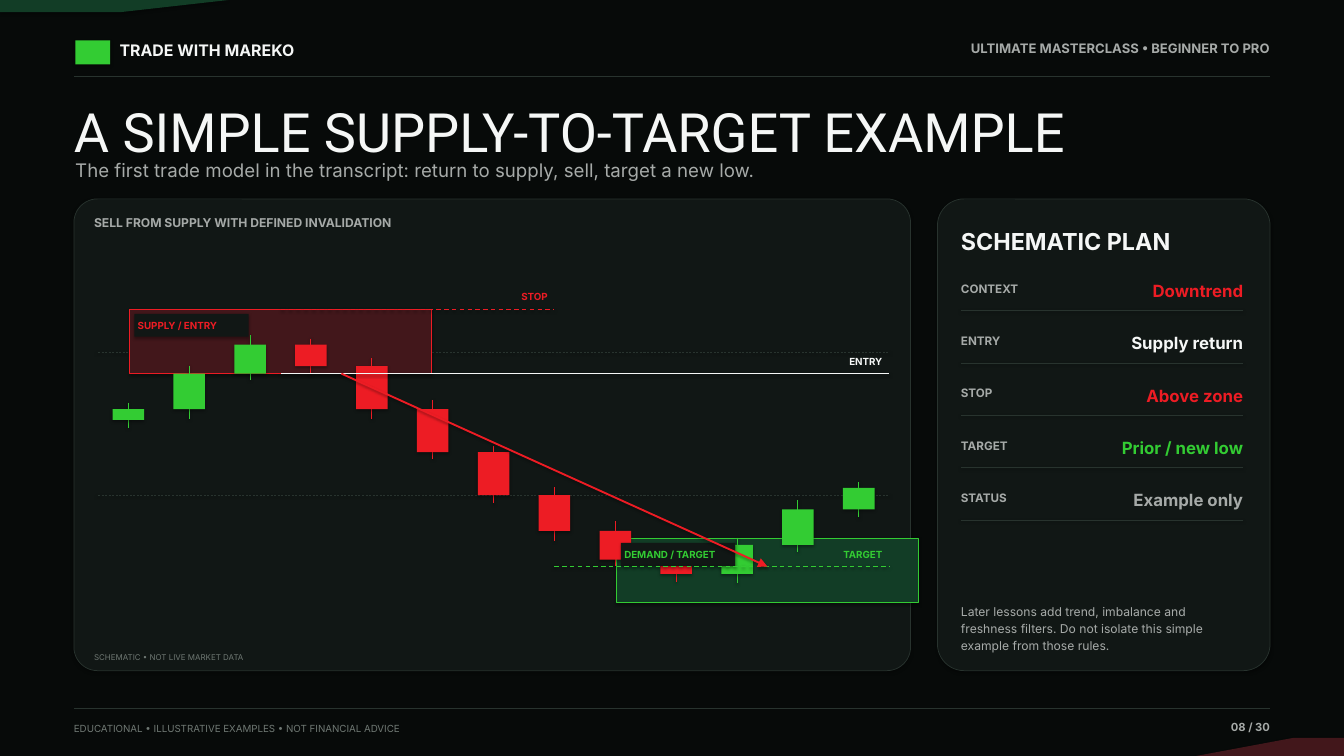
from dataclasses import dataclass

from lxml import etree
from pptx import Presentation
from pptx import util as u
from pptx.dml.color import RGBColor
from pptx.enum import dml, shapes, text
from pptx.oxml.ns import qn

Inches = u.Inches


@dataclass(frozen=True)
class Theme:
    # Colours
    background: str = "070A09"
    panel: str = "111715"
    rule: str = "28332E"
    white: str = "F5F7F6"
    grey: str = "A6AAA8"
    faint: str = "6F7873"
    green: str = "33CC33"
    red: str = "ED1C24"
    dark_green: str = "123D26"
    dark_red: str = "42171B"
    # Fonts and type sizes
    body_font: str = "Inter"
    title_font: str = "Roboto"
    title: float = 58
    heading: float = 25
    subtitle: float = 20
    value: float = 18
    brand: float = 17
    course: float = 14
    caption: float = 13
    label: float = 12.5
    page: float = 12
    small: float = 10.5
    tiny: float = 8.5


class SlideBuilder:
    def __init__(self, slide, theme):
        self.slide = slide
        self.theme = theme

    def add_shadow(self, shape, alpha, distance):
        properties = shape._element.spPr
        effects = etree.SubElement(properties, qn("a:effectLst"))
        shadow = etree.SubElement(
            effects, qn("a:outerShdw"), blurRad=str(u.Pt(3.1)),
            dist=str(u.Pt(distance)), dir="5400000", algn="ctr", rotWithShape="0")
        colour = etree.SubElement(shadow, qn("a:srgbClr"), val="000000")
        etree.SubElement(colour, qn("a:alpha"), val=str(alpha * 1000))

    def paint(self, shape, fill, line=None, width=0.8):
        shape.fill.solid()
        shape.fill.fore_color.rgb = RGBColor.from_string(fill)
        if line:
            shape.line.color.rgb = RGBColor.from_string(line)
            shape.line.width = u.Pt(width)
        else:
            shape.line.fill.background()
        self.add_shadow(shape, 35, 1.8)

    def box(self, left, top, width, height, fill, line=None, line_width=0.8, radius=None):
        kind = shapes.MSO_SHAPE.RECTANGLE if radius is None else shapes.MSO_SHAPE.ROUNDED_RECTANGLE
        shape = self.slide.shapes.add_shape(
            kind, Inches(left), Inches(top), Inches(width), Inches(height))
        if radius is not None:
            shape.adjustments[0] = radius
        self.paint(shape, fill, line, line_width)

    def polygon(self, points, fill):
        start, *rest = [(Inches(x), Inches(y)) for x, y in points]
        outline = self.slide.shapes.build_freeform(*start)
        outline.add_line_segments(rest, close=True)
        self.paint(outline.convert_to_shape(), fill)

    def line(self, x1, y1, x2, y2, colour, width, dashed=False, arrow=False):
        connector = self.slide.shapes.add_connector(
            shapes.MSO_CONNECTOR.STRAIGHT, Inches(x1), Inches(y1), Inches(x2), Inches(y2))
        connector.line.color.rgb = RGBColor.from_string(colour)
        connector.line.width = u.Pt(width)
        if dashed:
            connector.line.dash_style = dml.MSO_LINE.DASH
        if arrow:
            etree.SubElement(connector.line._get_or_add_ln(), qn("a:tailEnd"),
                             type="triangle", w="lg", len="lg")
        self.add_shadow(connector, 38, 1.6)

    def text(self, left, top, width, height, content, size, colour,
             bold=False, right=False, font=None, spacing=1.18):
        frame = self.slide.shapes.add_textbox(
            Inches(left), Inches(top), Inches(width), Inches(height)).text_frame
        frame_format = {"margin_left": 0, "margin_top": 0, "margin_right": 0,
                        "margin_bottom": 0, "word_wrap": True}
        for name, value in frame_format.items():
            setattr(frame, name, value)
        font_format = {"name": font or self.theme.body_font, "size": u.Pt(size), "bold": bold}
        for index, words in enumerate(content.split("\n")):
            paragraph = frame.add_paragraph() if index else frame.paragraphs[0]
            paragraph.alignment = text.PP_ALIGN.RIGHT if right else text.PP_ALIGN.LEFT
            paragraph.line_spacing = spacing
            run = paragraph.add_run()
            run.text = words
            for name, value in font_format.items():
                setattr(run.font, name, value)
            run.font.color.rgb = RGBColor.from_string(colour)

    def candle(self, center, opening, closing, high, low):
        colour = self.theme.green if closing < opening else self.theme.red
        self.line(center, high, center, low, colour, 1.15)
        self.box(center - 0.235, min(opening, closing), 0.47,
                 abs(closing - opening), colour)

    def zone(self, left, top, label, fill, colour):
        self.box(left, top, 4.49, 0.96, fill, colour, 0.9)

    def zone_label(self, left, top, label, fill, colour):
        self.box(left + 0.07, top + 0.07, 1.7, 0.34, self.theme.panel)
        self.text(left + 0.12, top + 0.12, 1.6, 0.25, label,
                  self.theme.small, colour, bold=True)

    def level(self, start, end, y, label, colour, dashed):
        self.line(start, y, end, y, colour, 1.2, dashed)
        self.text(end - 1.65, y - 0.3, 1.55, 0.24, label,
                  self.theme.small, colour, bold=True, right=True)

    def plan_row(self, top, label, value, colour):
        self.text(14.3, top, 1.45, 0.28, label, self.theme.label, self.theme.grey, bold=True)
        self.text(15.8, top - 0.03, 2.7, 0.36, value, self.theme.value, colour,
                  bold=True, right=True)
        self.line(14.3, top + 0.47, 18.5, top + 0.47, self.theme.rule, 0.7)


def main():
    presentation = Presentation()
    presentation.slide_width = Inches(20)
    presentation.slide_height = Inches(11.25)
    theme = Theme()
    builder = SlideBuilder(presentation.slides.add_slide(presentation.slide_layouts[6]), theme)

    # Background and corner accents
    builder.box(0, 0, 20, 11.25, theme.background)
    builder.polygon([(0, 0), (3.4, 0), (1.8, 0.18), (0, 0.18)], theme.dark_green)
    builder.polygon([(20, 11.25), (17.8, 11.25), (19.25, 10.98), (20, 10.98)], theme.dark_red)

    # Header and footer, with a plain brand mark
    builder.box(1.12, 0.6, 0.52, 0.36, theme.green)
    builder.text(1.78, 0.56, 3.9, 0.34, "TRADE WITH MAREKO", theme.brand, theme.white, bold=True)
    builder.text(14, 0.56, 4.9, 0.32, "ULTIMATE MASTERCLASS • BEGINNER TO PRO",
                 theme.course, theme.grey, bold=True, right=True)
    for y in (1.13, 10.54):
        builder.line(1.1, y, 18.9, y, theme.rule, 0.8)
    builder.text(1.1, 10.72, 8, 0.25,
                 "EDUCATIONAL • ILLUSTRATIVE EXAMPLES • NOT FINANCIAL ADVICE",
                 theme.small, theme.faint)
    builder.text(17.2, 10.68, 1.7, 0.28, "08 / 30", theme.page, theme.grey, bold=True, right=True)

    # Title and subtitle
    builder.text(1.1, 1.46, 17.8, 0.88, "A SIMPLE SUPPLY-TO-TARGET EXAMPLE",
                 theme.title, theme.white, font=theme.title_font, spacing=1.0)
    builder.text(1.12, 2.3, 17.2, 0.43,
                 "The first trade model in the transcript: return to supply, sell, target a new low.",
                 theme.subtitle, theme.grey)

    # Chart panel
    builder.box(1.1, 2.96, 12.45, 7.02, theme.panel, theme.rule, radius=0.05)
    builder.text(1.4, 3.16, 11.85, 0.28, "SELL FROM SUPPLY WITH DEFINED INVALIDATION",
                 theme.caption, theme.grey, bold=True)
    for y in (7.37, 5.24):
        builder.line(1.46, y, 13.23, y, theme.rule, 0.55, dashed=True)
    builder.text(1.4, 9.68, 11.85, 0.18, "SCHEMATIC • NOT LIVE MARKET DATA",
                 theme.tiny, theme.faint)

    # Zones lie behind the candles, their labels in front
    zones = [(1.93, 4.6, "SUPPLY / ENTRY", theme.dark_red, theme.red),
             (9.17, 8.01, "DEMAND / TARGET", theme.dark_green, theme.green)]
    for zone in zones:
        builder.zone(*zone)

    # Candles: close, high and low heights; each opens at the previous close
    opening = 6.25
    candles = [(6.09, 5.99, 6.37), (5.56, 5.44, 6.23), (5.13, 4.99, 5.65), (5.45, 5.04, 5.57),
               (6.09, 5.33, 6.23), (6.73, 5.95, 6.83), (7.37, 6.63, 7.49), (7.9, 7.25, 8.05),
               (8.33, 7.76, 8.42), (8.54, 8.23, 8.66), (8.11, 8, 8.68), (7.58, 7.44, 8.21),
               (7.26, 7.17, 7.7)]
    first_center, last_center = 1.91, 12.78
    step = (last_center - first_center) / (len(candles) - 1)
    for index, (closing, high, low) in enumerate(candles):
        builder.candle(first_center + index * step, opening, closing, high, low)
        opening = closing
    for zone in zones:
        builder.zone_label(*zone)

    # Trade levels and path to target
    builder.level(4.18, 13.23, 5.56, "ENTRY", theme.white, False)
    builder.level(4.18, 8.25, 4.6, "STOP", theme.red, True)
    builder.level(8.25, 13.23, 8.43, "TARGET", theme.green, True)
    builder.line(5.08, 5.56, 11.42, 8.43, theme.red, 2, arrow=True)

    # Plan panel
    builder.box(13.95, 2.96, 4.95, 7.02, theme.panel, theme.rule, radius=0.08)
    builder.text(14.3, 3.3, 4.25, 0.55, "SCHEMATIC PLAN", theme.heading, theme.white, bold=True)
    plan = [("CONTEXT", "Downtrend", theme.red), ("ENTRY", "Supply return", theme.white),
            ("STOP", "Above zone", theme.red), ("TARGET", "Prior / new low", theme.green),
            ("STATUS", "Example only", theme.grey)]
    for index, row in enumerate(plan):
        builder.plan_row(4.15 + index * 0.78, *row)
    builder.text(14.3, 8.95, 4.15, 0.68,
                 "Later lessons add trend, imbalance and\n"
                 "freshness filters. Do not isolate this simple\n"
                 "example from those rules.", theme.caption, theme.grey)

    presentation.save("out.pptx")


if __name__ == "__main__":
    main()
